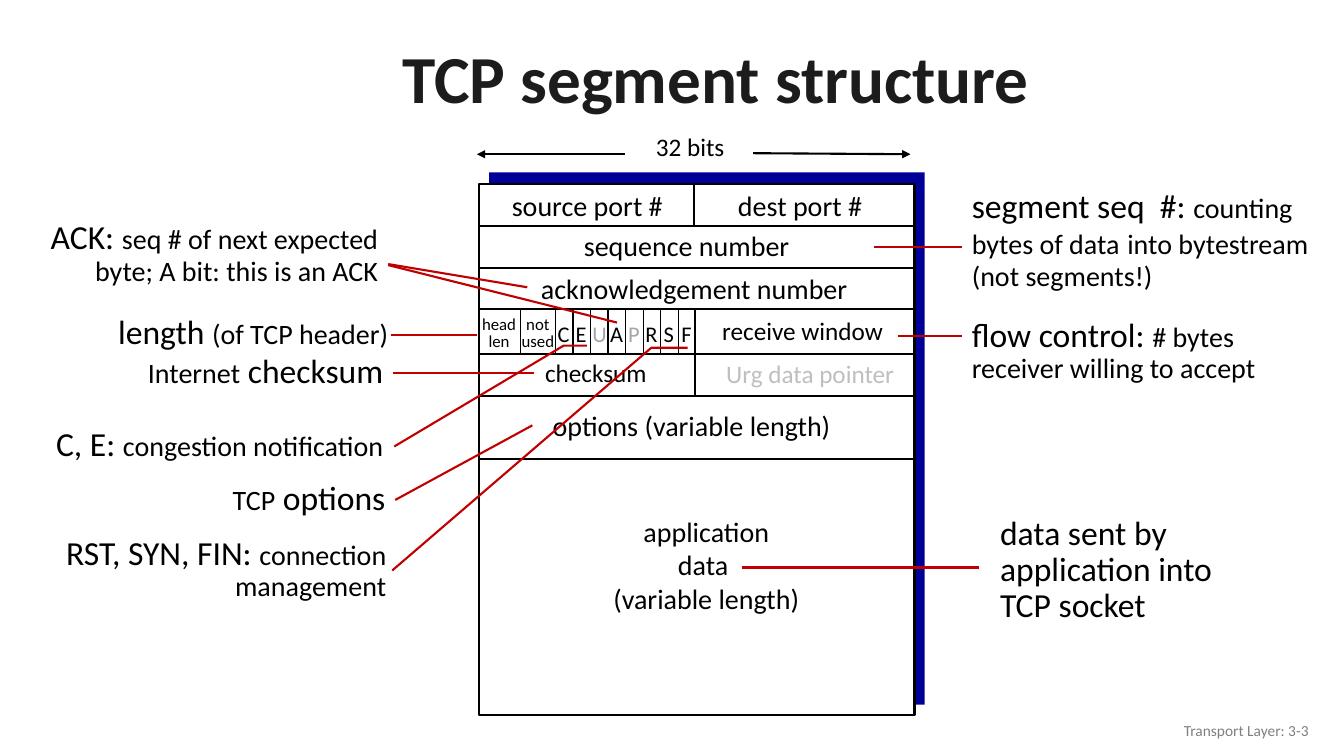
from lxml import etree
from pptx import Presentation
from pptx.dml.color import RGBColor
from pptx.enum import shapes, text
from pptx.oxml.ns import qn
from pptx.util import Inches, Pt

BLACK = RGBColor(0x00, 0x00, 0x00)
WHITE = RGBColor(0xFF, 0xFF, 0xFF)
NAVY = RGBColor(0x00, 0x00, 0x99)
RED = RGBColor(0xC0, 0x00, 0x00)
INK = RGBColor(0x1C, 0x1C, 0x1C)
FOOTER_GRAY = RGBColor(0x80, 0x80, 0x80)
FLAG_GRAY = RGBColor(0xA6, 0xA6, 0xA6)
FIELD_GRAY = RGBColor(0xBF, 0xBF, 0xBF)
FONT = "Calibri"
CENTER, LEFT, RIGHT = text.PP_ALIGN.CENTER, text.PP_ALIGN.LEFT, text.PP_ALIGN.RIGHT

SEGMENT_WIDTH, SEGMENT_HEIGHT = 4.32, 5.26
ROW_LINES = [0.41, 0.83, 1.24, 1.68, 2.1, 2.72]
FLAGS = "CEUAPRSF"
FLAG_LEFT, FLAG_STEP = 0.76, 0.174

FIELDS = [
    ("source port #", 0.22, -0.01, 1.71, 0.44, 20, BLACK),
    ("dest port #", 2.46, -0.01, 1.45, 0.44, 20, BLACK),
    ("sequence number", 0.7, 0.39, 2.72, 0.43, 20, BLACK),
    ("acknowledgement number", 0.27, 0.81, 3.73, 0.43, 20, BLACK),
    ("head\nlen", -0.07, 1.26, 0.54, 0.45, 12, BLACK),
    ("not\nused", 0.32, 1.26, 0.53, 0.45, 12, BLACK),
    ("receive window", 2.3, 1.25, 1.82, 0.4, 18, BLACK),
    ("checksum", 0.55, 1.67, 1.22, 0.4, 18, BLACK),
    ("Urg data pointer", 2.34, 1.68, 1.89, 0.4, 18, FIELD_GRAY),
    ("options (variable length)", 0.53, 2.17, 3.16, 0.44, 20, BLACK),
    ("application\ndata \n(variable length)", 1.22, 3.22, 2.07, 1.11, 20, BLACK),
]

LEFT_CALLOUTS = [
    ([("ACK: ", 24), ("seq # of next expected byte; A bit: this is an ACK", 20)], -4.5, 0.31, 3.6, 0.77),
    ([("length ", 24), ("(of TCP header)", 20)], -4.4, 1.25, 3.6, 0.46),
    ([("Internet", 20), (" checksum", 24)], -4.78, 1.64, 3.93, 0.46),
    ([("C, E: ", 24), ("congestion notification", 20)], -4.55, 2.36, 3.7, 0.46),
    ([("TCP", 20), (" options", 24)], -2.68, 2.9, 1.85, 0.46),
    ([("RST, SYN, FIN: ", 24), ("connection management", 20)], -4.56, 3.44, 3.74, 0.77),
]
RIGHT_CALLOUTS = [
    ([("segment seq  #: ", 24), ("counting bytes of data", 20), (" ", 24),
      ("into bytestream", 20), (" ", 24), ("(not segments!)", 20)], 4.79, 0, 3.6, 1.13),
    ([("flow control: ", 24), ("# bytes receiver willing to accept", 20)], 4.79, 1.28, 3.21, 0.77),
    ([("data sent by application into TCP socket", 24)], 5.07, 3.24, 2.39, 1.19),
]
LEADERS = [
    (-0.9, 0.8, 1.37, 1.37, 1.5),
    (-0.9, 0.79, 0.48, 1.02, 1.5),
    (-0.87, 1.49, -0.02, 1.49, 1.5),
    (-0.85, 1.87, 0.55, 1.87, 1.5),
    (-0.83, 3.13, 0.53, 2.39, 1.5),
    (4.79, 0.62, 3.92, 0.62, 1.5),
    (4.79, 1.5, 4.16, 1.5, 1.5),
    (2.61, 3.8, 4.96, 3.8, 2),
]
BENT_LEADERS = [
    [(-0.84, 2.6), (0.84, 1.6), (1.07, 1.6)],
    [(-0.86, 3.83), (1.71, 1.62), (2.07, 1.62)],
]


def format_run(run, size, color, bold=False):
    """Set the font of one run."""
    run.font.name = FONT
    run.font.size = Pt(size)
    run.font.bold = bold
    run.font.color.rgb = color


def add_label(slide, words, left, top, width, height, size, color=BLACK, align=CENTER):
    """Add unwrapped text, one paragraph for each line of words."""
    label = slide.shapes.add_textbox(Inches(left), Inches(top), Inches(width), Inches(height))
    frame = label.text_frame
    frame.word_wrap = False
    frame.text = words
    for paragraph in frame.paragraphs:
        paragraph.alignment = align
        if size == 12:
            paragraph.line_spacing = 0.85
        format_run(paragraph.runs[0], size, color)
    return label


def add_line(slide, x1, y1, x2, y2, width, color=BLACK, arrow=False):
    """Add a straight line, with an arrowhead at its end if asked."""
    line = slide.shapes.add_connector(
        shapes.MSO_CONNECTOR.STRAIGHT, Inches(x1), Inches(y1), Inches(x2), Inches(y2))
    line.line.color.rgb = color
    line.line.width = Pt(width)
    if arrow:
        etree.SubElement(line.line._get_or_add_ln(), qn("a:tailEnd"), type="triangle")
    etree.SubElement(line._element.spPr, qn("a:effectLst"))


def add_panel(slide, left, top, width, height, fill):
    """Add a filled rectangle without outline."""
    panel = slide.shapes.add_shape(
        shapes.MSO_SHAPE.RECTANGLE, Inches(left), Inches(top), Inches(width), Inches(height))
    panel.shadow.inherit = False
    panel.fill.solid()
    panel.fill.fore_color.rgb = fill
    panel.line.fill.background()
    return panel


def add_title(slide, left, top, width, height):
    """Place and format the title."""
    title = slide.shapes.title
    title.left, title.top, title.width, title.height = map(Inches, (left, top, width, height))
    title.text_frame.text = "TCP segment structure"
    title.text_frame.vertical_anchor = text.MSO_ANCHOR.MIDDLE
    paragraph = title.text_frame.paragraphs[0]
    paragraph.alignment = CENTER
    paragraph.line_spacing = 0.9
    format_run(paragraph.runs[0], 48, INK, bold=True)


def add_segment(slide, left, top):
    """Draw the segment with its rows, dividers and field names."""
    add_panel(slide, left + 0.1, top - 0.12, SEGMENT_WIDTH, 5.28, NAVY)
    panel = add_panel(slide, left, top, SEGMENT_WIDTH, SEGMENT_HEIGHT, WHITE)
    panel.line.color.rgb = BLACK
    panel.line.width = Pt(1.5)
    for y in ROW_LINES:
        add_line(slide, left, top + y, left + SEGMENT_WIDTH, top + y, 1.5)
    for x, start, end in [(2.13, 0, ROW_LINES[0]), (2.14, ROW_LINES[2], ROW_LINES[4])]:
        add_line(slide, left + x, top + start, left + x, top + end, 1.5)
    flag_lines = [FLAG_LEFT + i * FLAG_STEP for i in range(len(FLAGS))]
    for x in [0.41] + flag_lines:
        add_line(slide, left + x, top + ROW_LINES[2], left + x, top + ROW_LINES[3], 1)
    for words, x, y, width, height, size, color in FIELDS:
        add_label(slide, words, left + x, top + y, width, height, size, color)
    for flag, x in zip(FLAGS, flag_lines):
        color = FLAG_GRAY if flag in "UP" else BLACK
        add_label(slide, flag, left + x - 0.08, top + 1.3, 0.32, 0.37, 16, color)


def add_width_mark(slide, left, top):
    """Mark the width of the segment above it."""
    add_label(slide, "32 bits", left + 1.67, top, 0.89, 0.4, 18)
    add_line(slide, left + 2.74, top + 0.27, left + 4.3, top + 0.28, 1.5, arrow=True)
    add_line(slide, left + 1.47, top + 0.28, left, top + 0.28, 1.5, arrow=True)


def add_callouts(slide, left, top, callouts, align):
    """Add the explanations on one side of the segment."""
    for parts, x, y, width, height in callouts:
        box = slide.shapes.add_textbox(
            Inches(left + x), Inches(top + y), Inches(width), Inches(height))
        box.text_frame.word_wrap = True
        paragraph = box.text_frame.paragraphs[0]
        paragraph.alignment = align
        paragraph.line_spacing = 0.9
        for words, size in parts:
            run = paragraph.add_run()
            run.text = words
            format_run(run, size, BLACK)


def add_leaders(slide, left, top):
    """Join the explanations to the fields with red lines."""
    for x1, y1, x2, y2, width in LEADERS:
        add_line(slide, left + x1, top + y1, left + x2, top + y2, width, RED)
    for points in BENT_LEADERS:
        start, *rest = [(Inches(left + x), Inches(top + y)) for x, y in points]
        builder = slide.shapes.build_freeform(*start)
        builder.add_line_segments(rest, close=False)
        leader = builder.convert_to_shape()
        leader.shadow.inherit = False
        leader.fill.background()
        leader.line.color.rgb = RED
        leader.line.width = Pt(1.5)


def main():
    """Build the slide and save it."""
    presentation = Presentation()
    presentation.slide_width, presentation.slide_height = Inches(13.33), Inches(7.5)
    slide = presentation.slides.add_slide(presentation.slide_layouts[5])
    left, top = 4.75, 1.83
    add_title(slide, 0.87, 0.32, 12.46, 0.98)
    add_width_mark(slide, 4.73, 1.25)
    add_segment(slide, left, top)
    add_callouts(slide, left, top, LEFT_CALLOUTS, RIGHT)
    add_callouts(slide, left, top, RIGHT_CALLOUTS, LEFT)
    add_leaders(slide, left, top)
    footer = add_label(slide, "Transport Layer: 3-3", 10.08, 7.05, 3, 0.4, 11, FOOTER_GRAY, RIGHT)
    footer.text_frame.word_wrap = True
    footer.text_frame.vertical_anchor = text.MSO_ANCHOR.MIDDLE
    presentation.save("out.pptx")


if __name__ == "__main__":
    main()
